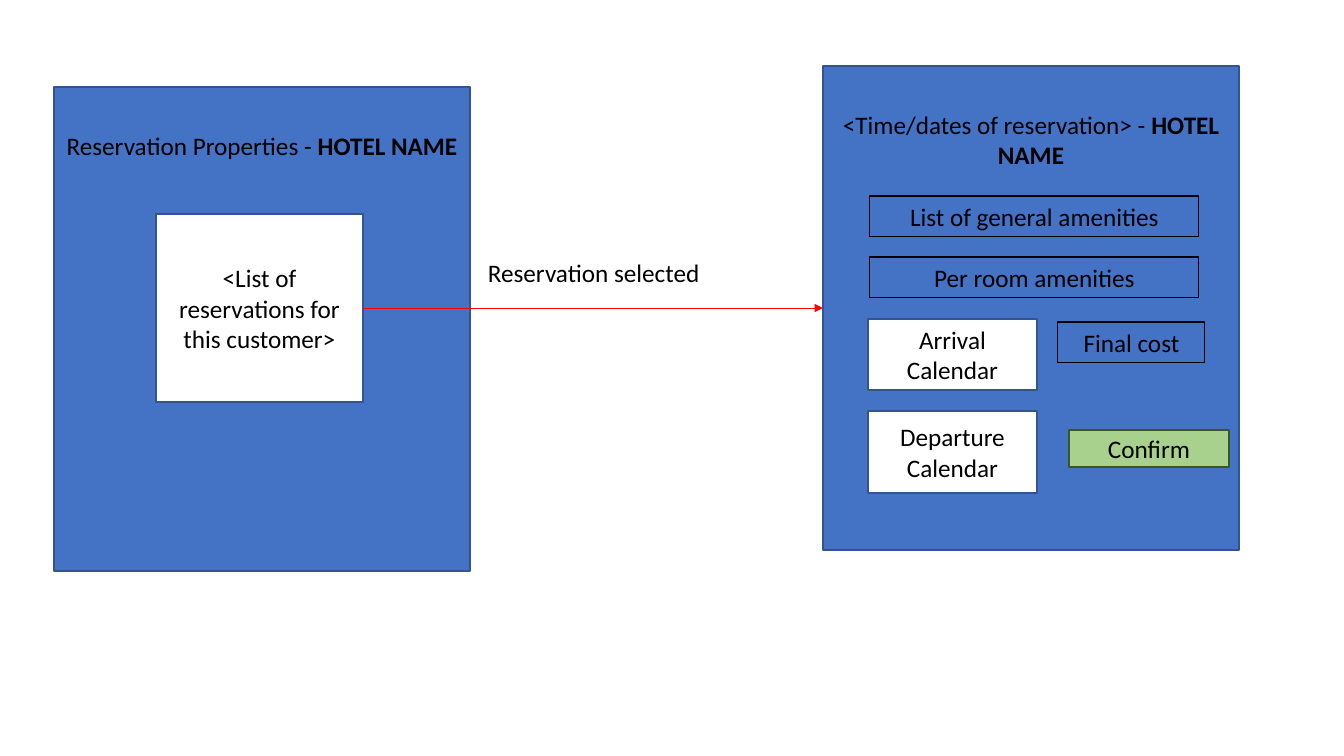
from lxml.etree import SubElement
from pptx import Presentation
from pptx.dml.color import RGBColor
from pptx.enum.shapes import MSO_CONNECTOR, MSO_SHAPE
from pptx.enum.text import MSO_ANCHOR, PP_ALIGN
from pptx.oxml.ns import qn
from pptx.util import Emu, Pt

COLORS = {
    "panel": "4472C4", "edge": "325491", "white": "FFFFFF", "ink": "000000",
    "arrow": "FF0000", "confirm": "A9D18E", "confirm_edge": "385723",
}
STYLES = {
    "panel": ("panel", "edge", 1, MSO_ANCHOR.MIDDLE),
    "card": ("white", "edge", 1, MSO_ANCHOR.MIDDLE),
    "field": (None, "ink", 0.75, MSO_ANCHOR.TOP),
    "button": ("confirm", "confirm_edge", 1, MSO_ANCHOR.MIDDLE),
}
PANEL_WIDTH, PANEL_HEIGHT, TITLE_DROP = 416, 484, 38
HOTEL = "HOTEL NAME"

SCREENS = [
    {
        "corner": (54, 87),
        "title": "Reservation Properties - ",
        "title_height": 40,
        "boxes": [("card", "<List of reservations for this customer>", 156, 214, 207, 188)],
    },
    {
        "corner": (823, 66),
        "title": "<Time/dates of reservation> - ",
        "title_height": 71,
        "boxes": [
            ("field", "List of general amenities", 870, 196, 329, 41),
            ("field", "Per room amenities", 870, 257, 329, 41),
            ("card", "Arrival Calendar", 868, 319, 169, 71),
            ("card", "Departure Calendar", 868, 411, 169, 82),
            ("field", "Final cost", 1058, 322, 147, 41),
            ("button", "Confirm", 1069, 430, 160, 37),
        ],
    },
]
ARROW = (363, 308, 823, 308)
ARROW_LABEL = ("Reservation selected", 478, 252, 235, 40)


def px(*values):
    return [Emu(round(value * 914400 / 100.8)) for value in values]


def color(name):
    return RGBColor.from_string(COLORS[name])


def write(box, pieces, align, anchor, wrap=True):
    frame = box.text_frame
    frame.word_wrap = wrap
    frame.vertical_anchor = anchor
    para = frame.paragraphs[0]
    para.alignment = align
    para.font.name = "Calibri"
    para.font.size = Pt(18)
    para.font.color.rgb = color("ink")
    for text, bold in pieces:
        span = para.add_run()
        span.text = text
        if bold:
            span.font.bold = True


def add_box(group, style, text, *bounds):
    fill, edge, weight, anchor = STYLES[style]
    box = group.shapes.add_shape(MSO_SHAPE.RECTANGLE, *px(*bounds))
    box.shadow.inherit = False
    if fill:
        box.fill.solid()
        box.fill.fore_color.rgb = color(fill)
    else:
        box.fill.background()
    box.line.color.rgb = color(edge)
    box.line.width = Pt(weight)
    if text:
        write(box, [(text, False)], PP_ALIGN.CENTER, anchor)


def add_label(group, pieces, align, wrap, *bounds):
    box = group.shapes.add_textbox(*px(*bounds))
    write(box, pieces, align, MSO_ANCHOR.TOP, wrap)


def add_arrow(group):
    arrow = group.shapes.add_connector(MSO_CONNECTOR.STRAIGHT, *px(*ARROW))
    arrow.line.color.rgb = color("arrow")
    arrow.line.width = Pt(0.5)
    properties = arrow.element.spPr
    SubElement(properties.find(qn("a:ln")), qn("a:tailEnd"), type="triangle")
    SubElement(properties, qn("a:effectLst"))


deck = Presentation()
deck.slide_width, deck.slide_height = px(1344, 756)
page = deck.slides.add_slide(deck.slide_layouts[6])

for number, screen in enumerate(SCREENS):
    group = page.shapes.add_group_shape()
    left, top = screen["corner"]
    add_box(group, "panel", "", left, top, PANEL_WIDTH, PANEL_HEIGHT)
    add_label(group, [(screen["title"], False), (HOTEL, True)], PP_ALIGN.CENTER, True,
              left, top + TITLE_DROP, PANEL_WIDTH, screen["title_height"])
    if number == 0:
        add_arrow(group)
        text, *bounds = ARROW_LABEL
        add_label(group, [(text, False)], PP_ALIGN.LEFT, False, *bounds)
    for box in screen["boxes"]:
        add_box(group, *box)

deck.save("out.pptx")
